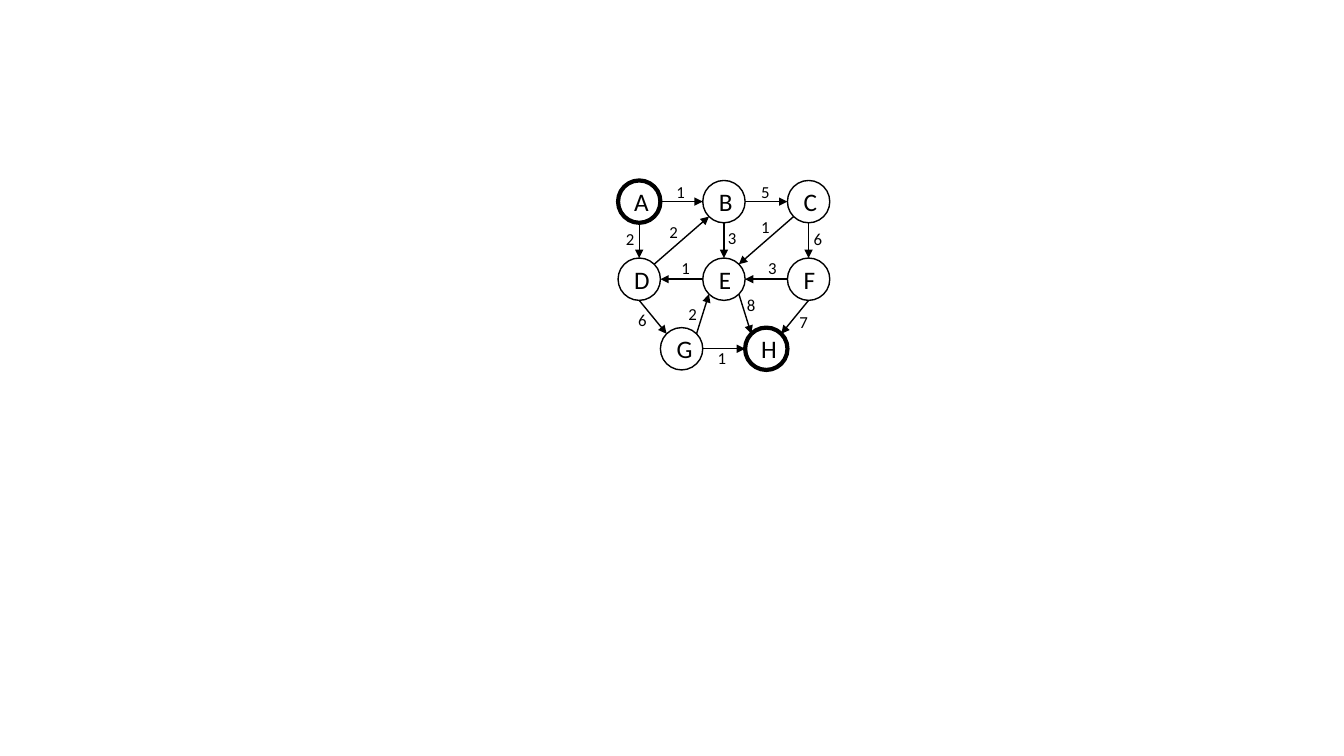
"""Build a slide with a directed weighted graph from node A to node H."""
from math import sqrt

from lxml.etree import SubElement
from pptx import Presentation
from pptx.dml.color import RGBColor
from pptx.enum.dml import MSO_LINE
from pptx.enum.shapes import MSO_CONNECTOR, MSO_SHAPE
from pptx.enum.text import MSO_ANCHOR, MSO_AUTO_SIZE, PP_ALIGN
from pptx.oxml.ns import qn
from pptx.util import Inches, Pt

COLORS = {"ink": "000000"}
INK = RGBColor.from_string(COLORS["ink"])
RADIUS = 0.21
STEP = 0.84
LEFT = 6.34
ROWS = [(2.0, LEFT, "ABC"), (2.77, LEFT, "DEF"), (3.46, LEFT + STEP / 2, "GH")]
ENDPOINTS = "AH"
DIAGONAL = sqrt(0.5)
SIDES = {
    "n": (0, -1), "e": (1, 0), "s": (0, 1), "w": (-1, 0),
    "ne": (DIAGONAL, -DIAGONAL), "se": (DIAGONAL, DIAGONAL),
    "sw": (-DIAGONAL, DIAGONAL), "nw": (-DIAGONAL, -DIAGONAL),
}
EDGES = [
    ("A", "e", "B", "w", "1", 6.61, 1.75),
    ("B", "e", "C", "w", "5", 7.45, 1.75),
    ("F", "w", "E", "e", "3", 7.52, 2.51),
    ("C", "s", "F", "n", "6", 7.97, 2.22),
    ("C", "sw", "E", "ne", "1", 7.45, 2.1),
    ("B", "s", "E", "n", "3", 7.12, 2.21),
    ("E", "w", "D", "e", "1", 6.66, 2.51),
    ("D", "ne", "B", "sw", "2", 6.54, 2.15),
    ("A", "s", "D", "n", "2", 6.11, 2.22),
    ("D", "s", "G", "nw", "6", 6.23, 3.02),
    ("G", "ne", "E", "sw", "2", 6.73, 2.96),
    ("E", "se", "H", "nw", "8", 7.31, 2.87),
    ("F", "s", "H", "ne", "7", 7.83, 3.04),
    ("G", "e", "H", "w", "1", 7.02, 3.4),
]


def write(shape, text, size):
    """Put one line of black Calibri text into a shape."""
    para = shape.text_frame.paragraphs[0]
    para.text = text
    font = para.runs[0].font
    font.name, font.size = "Calibri", Pt(size)
    font.color.rgb = INK
    return para


def rim(node, side):
    """Return the point on a node's circle that faces the given side."""
    x, y = centers[node]
    dx, dy = SIDES[side]
    return Inches(x + RADIUS * dx), Inches(y + RADIUS * dy)


deck = Presentation()
deck.slide_width, deck.slide_height = Inches(13.33), Inches(7.5)
page = deck.slides.add_slide(deck.slide_layouts[6])

centers = {}
for y, start, names in ROWS:
    for column, name in enumerate(names):
        x = start + column * STEP
        centers[name] = (x, y)
        node = page.shapes.add_shape(
            MSO_SHAPE.OVAL, Inches(x - RADIUS), Inches(y - RADIUS),
            Inches(2 * RADIUS), Inches(2 * RADIUS))
        node.shadow.inherit = False
        node.fill.background()
        node.line.color.rgb = INK
        node.line.width = Pt(3 if name in ENDPOINTS else 1)
        node.text_frame.vertical_anchor = MSO_ANCHOR.MIDDLE
        write(node, name, 18).alignment = PP_ALIGN.CENTER

for source, exit_side, target, entry_side, weight, left, top in EDGES:
    arrow = page.shapes.add_connector(
        MSO_CONNECTOR.STRAIGHT, *rim(source, exit_side), *rim(target, entry_side))
    arrow.line.color.rgb = INK
    arrow.line.width = Pt(1)
    arrow.line.dash_style = MSO_LINE.SOLID
    SubElement(arrow.line._get_or_add_ln(), qn("a:tailEnd"), type="triangle")
    SubElement(arrow._element.spPr, qn("a:effectLst"))

    label = page.shapes.add_textbox(
        Inches(left), Inches(top), Inches(0.29), Inches(0.3))
    label.text_frame.word_wrap = False
    label.text_frame.auto_size = MSO_AUTO_SIZE.SHAPE_TO_FIT_TEXT
    write(label, weight, 12)

deck.save("out.pptx")
